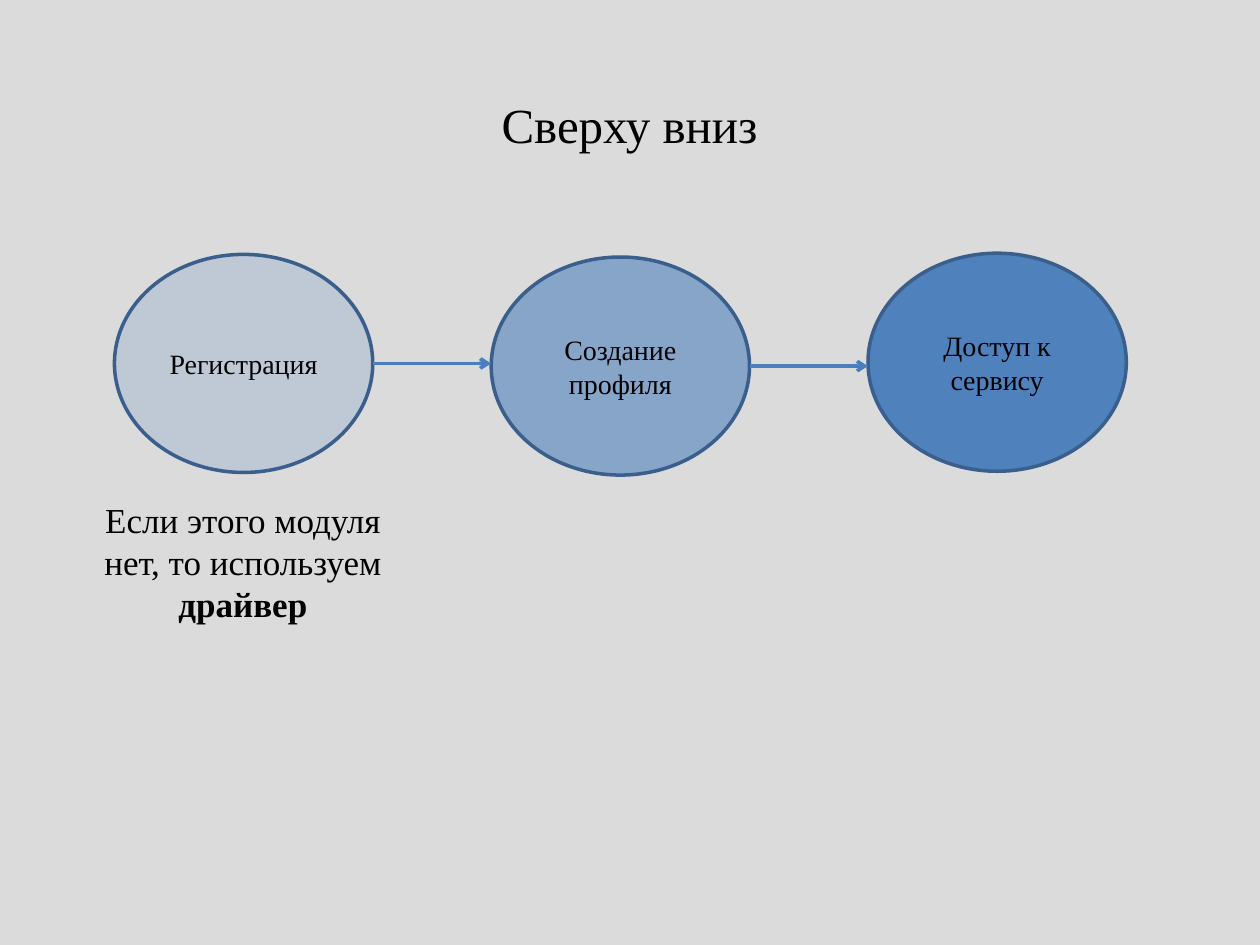
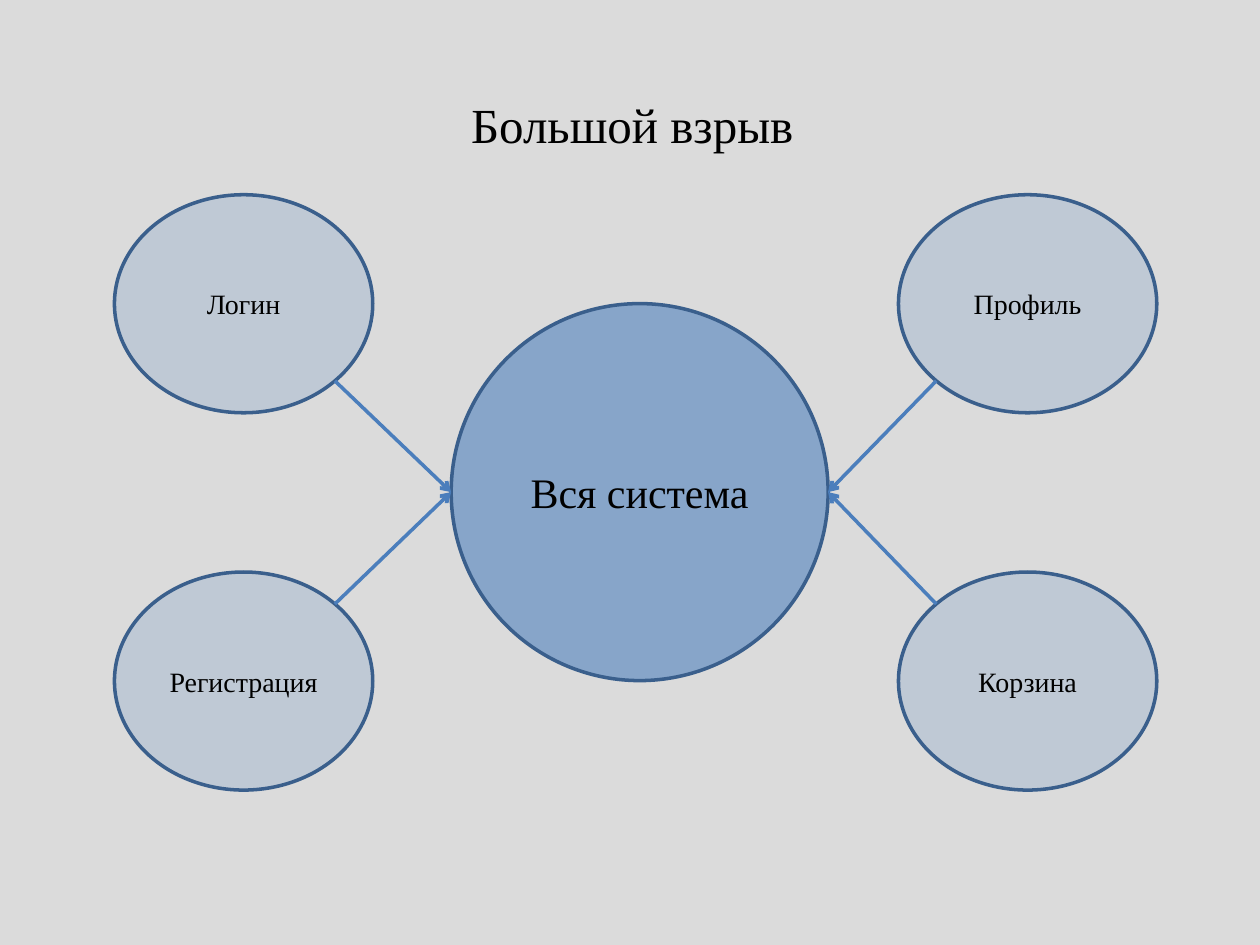
from math import cos, radians, sin

from lxml.etree import SubElement
from pptx import Presentation
from pptx.dml.color import RGBColor
from pptx.enum.shapes import MSO_CONNECTOR as Connector, MSO_SHAPE as Shape
from pptx.enum.text import MSO_ANCHOR as Anchor, PP_ALIGN as Align
from pptx.oxml.ns import qn
from pptx.util import Pt

FONT = "Times New Roman"
BACKGROUND, INK = "DBDBDB", "000000"
MODULE_FILL, OUTLINE, ARROW = "4F81BD", "3A5F8C", "4B7EBC"
LINE_WIDTH = 2
MODULE_WIDTH, MODULE_HEIGHT = 147.6, 124.6
FIRST_LEFT = 65.4
TITLE_TOP, TITLE_HEIGHT = 50.4, 41
LIGHT, MEDIUM, SOLID = 20, 60, 100


def paint(color_owner, color):
    """Give a fill or line a solid hex colour."""
    color_owner.fill.solid()
    color_owner.fill.fore_color.rgb = RGBColor.from_string(color)


def write(frame, runs, size, align=Align.CENTER, anchor=Anchor.MIDDLE):
    """Write (text, bold) runs into one paragraph of a frame."""
    frame.word_wrap = True
    frame.vertical_anchor = anchor
    paragraph = frame.paragraphs[0]
    paragraph.alignment = align
    for text, bold in runs:
        run = paragraph.add_run()
        run.text = text
        run.font.name, run.font.size, run.font.bold = FONT, Pt(size), bold
        paint(run.font, INK)


def add_titled_slide(deck, title, left, width):
    """Add a slide with the shared background and title style."""
    slide = deck.slides.add_slide(deck.slide_layouts[5])
    paint(slide.background, BACKGROUND)
    heading = slide.shapes.title
    heading.left, heading.top = Pt(left), Pt(TITLE_TOP)
    heading.width, heading.height = Pt(width), Pt(TITLE_HEIGHT)
    write(heading.text_frame, [(title, False)], 28, Align.JUSTIFY, Anchor.TOP)
    return slide


def add_module(slide, label, left, top, opacity,
               width=MODULE_WIDTH, height=MODULE_HEIGHT, size=16):
    """Add a labelled ellipse whose fill has the given opacity in percent."""
    module = slide.shapes.add_shape(
        Shape.OVAL, Pt(left), Pt(top), Pt(width), Pt(height))
    module.shadow.inherit = False
    paint(module, MODULE_FILL)
    if opacity < 100:
        tint = module.fill._xPr.find(qn("a:solidFill"))[0]
        SubElement(tint, qn("a:alpha"), val=str(opacity * 1000))
    paint(module.line, OUTLINE)
    module.line.width = Pt(LINE_WIDTH)
    write(module.text_frame, [(label, False)], size)
    return module


def rim_point(module, degrees):
    """Return the ellipse point at an angle measured clockwise from the right."""
    angle = radians(degrees)
    x = module.left + module.width / 2 * (1 + cos(angle))
    y = module.top + module.height / 2 * (1 + sin(angle))
    return round(x), round(y)


def add_arrow(slide, start, end):
    """Add an open-headed arrow between two points."""
    arrow = slide.shapes.add_connector(Connector.STRAIGHT, *start, *end)
    paint(arrow.line, ARROW)
    arrow.line.width = Pt(LINE_WIDTH)
    SubElement(arrow.line._get_or_add_ln(), qn("a:tailEnd"), type="arrow")
    SubElement(arrow._element.spPr, qn("a:effectLst"))


def build_top_down(deck):
    """Build the chain of modules tested from the top down."""
    slide = add_titled_slide(deck, "Сверху вниз", 279.4, 170)
    steps = [("Регистрация", 145.4, LIGHT),
             ("Создание профиля", 146.9, MEDIUM),
             ("Доступ к сервису", 144.7, SOLID)]
    chain = [add_module(slide, label, FIRST_LEFT + 215.3 * index, top, opacity)
             for index, (label, top, opacity) in enumerate(steps)]
    for source, target in zip(chain, chain[1:]):
        start = rim_point(source, 0)
        add_arrow(slide, start, (target.left, start[1]))
    note = slide.shapes.add_textbox(Pt(51), Pt(281.5), Pt(175.7), Pt(80))
    write(note.text_frame,
          [("Если этого модуля нет, то используем ", False), ("драйвер", True)],
          20, anchor=Anchor.TOP)


def build_big_bang(deck):
    """Build the modules that all join the whole system at once."""
    slide = add_titled_slide(deck, "Большой взрыв", 262, 211)
    right_left, upper_top, lower_top = 513.4, 111.3, 326.9
    system = add_module(slide, "Вся система", 257.8, 173.5, MEDIUM,
                        width=215.4, height=215.4, size=24)
    corners = [("Регистрация", FIRST_LEFT, lower_top, -45, 180),
               ("Логин", FIRST_LEFT, upper_top, 45, 180),
               ("Профиль", right_left, upper_top, 135, 0),
               ("Корзина", right_left, lower_top, -135, 0)]
    for label, left, top, exit_angle, entry_angle in corners:
        module = add_module(slide, label, left, top, LIGHT)
        add_arrow(slide, rim_point(module, exit_angle),
                  rim_point(system, entry_angle))


def main():
    """Build and save the deck."""
    deck = Presentation()
    deck.slide_width, deck.slide_height = Pt(720), Pt(540)
    build_top_down(deck)
    build_big_bang(deck)
    deck.save("out.pptx")


if __name__ == "__main__":
    main()
